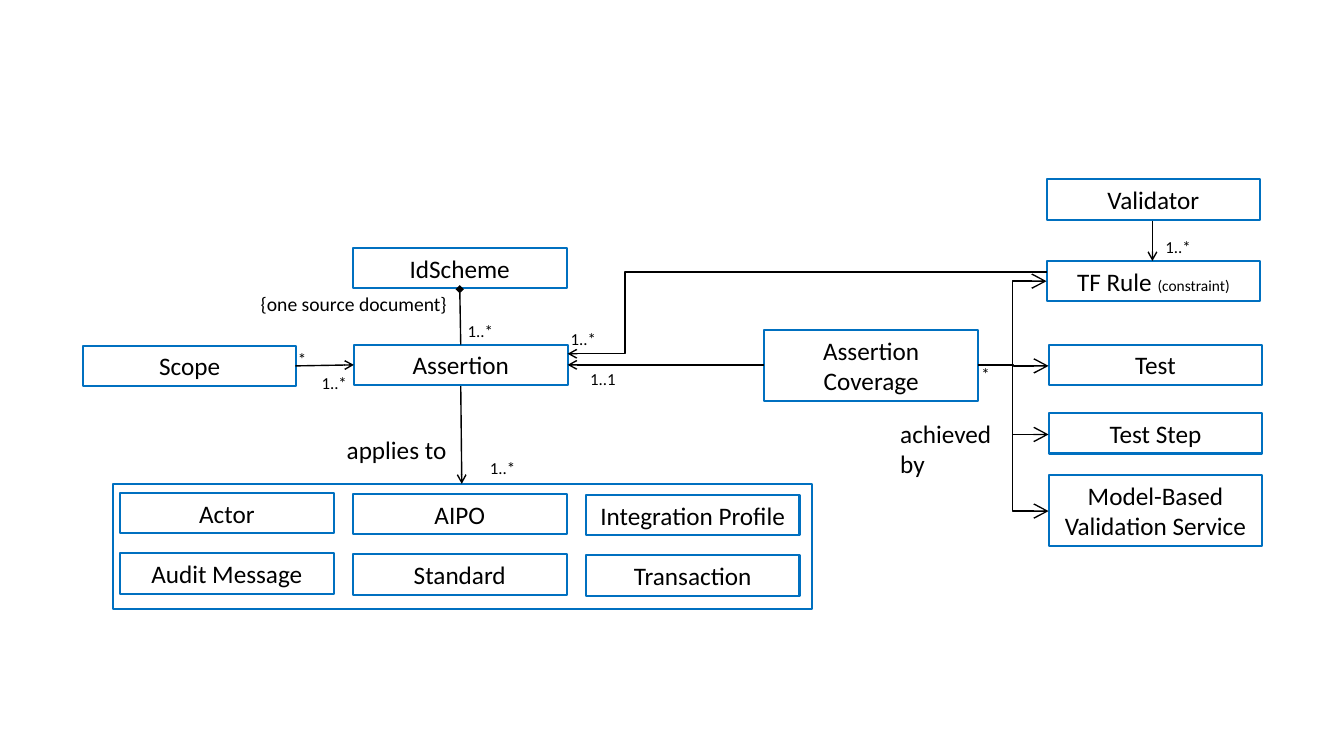
from dataclasses import dataclass

import pptx
import pptx.dml.color
import pptx.enum.shapes
import pptx.enum.text
import pptx.oxml.ns
import pptx.util
from lxml import etree

Inches = pptx.util.Inches
Point = tuple[float, float]
BLUE = pptx.dml.color.RGBColor(0x00, 0x70, 0xC0)
BLACK = pptx.dml.color.RGBColor(0x00, 0x00, 0x00)
FONT = "Calibri"
CENTER = pptx.enum.text.PP_ALIGN.CENTER
LEFT = pptx.enum.text.PP_ALIGN.LEFT
MIDDLE = pptx.enum.text.MSO_ANCHOR.MIDDLE
TOP = pptx.enum.text.MSO_ANCHOR.TOP


@dataclass
class Box:
    text: str
    x: float
    y: float
    width: float = 2.12
    height: float = 0.4
    note: str = ""


@dataclass
class Label:
    text: str
    x: float
    y: float
    width: float = 0.51
    height: float = 0.3
    size: float = 12
    align: pptx.enum.text.PP_ALIGN = CENTER


@dataclass
class Link:
    start: Point
    end: Point
    head: str = ""
    tail: str = ""
    bend: float | None = None
    size: str = "med"


KINDS = ["Actor", "AIPO", "Integration Profile",
         "Audit Message", "Standard", "Transaction"]

BOXES = [
    Box(kind, 1.19 + 2.31 * (i % 3), 4.89 + 0.6 * (i // 3) + 0.01 * (i % 3))
    for i, kind in enumerate(KINDS)
] + [
    Box("", 1.12, 4.8, 6.93, 1.24),
    Box("Assertion", 3.51, 3.42),
    Box("IdScheme", 3.5, 2.46),
    Box("Scope", 0.82, 3.43),
    Box("Validator", 10.38, 1.78),
    Box("TF Rule ", 10.38, 2.59, note="(constraint)"),
    Box("Test", 10.4, 3.42),
    Box("Test Step", 10.4, 4.1),
    Box("Assertion Coverage", 7.58, 3.27, height=0.71),
    Box("Model-Based Validation Service", 10.4, 4.71, height=0.71),
]

FORK = (9.7, 3.62)
GOALS = [((10.38, 2.79), 0.5), ((10.4, 3.63), 0.5),
         ((10.4, 4.31), 0.49), ((10.4, 5.07), 0.49)]

LINKS = [
    Link((3.51, 3.62), (2.93, 3.63), head="arrow"),
    Link((4.56, 2.87), (4.57, 3.42), head="diamond"),
    Link((5.63, 3.51), (10.38, 2.7), head="arrow", bend=0.12),
    Link((11.43, 2.59), (11.43, 2.19), head="arrow"),
    Link((5.63, 3.62), (7.58, 3.62), head="arrow"),
    Link((4.58, 4.8), (4.57, 3.83), head="arrow"),
] + [Link(FORK, goal, tail="arrow", bend=bend, size="lg") for goal, bend in GOALS]

LABELS = [
    Label("1..*", 4.51, 3.13),
    Label("{one source document}", 2.43, 2.85, 2.16, 0.34, 14),
    Label("1..*", 3.06, 3.65),
    Label("*", 2.74, 3.41),
    Label("1..*", 11.43, 2.3),
    Label("1..*", 5.53, 3.21),
    Label("applies to", 3.34, 4.26, 1.22, 0.4, 18, LEFT),
    Label("1..*", 4.56, 4.49, 0.85),
    Label("achieved by", 8.83, 4.1, 1.22, 0.71, 18, LEFT),
    Label("*", 9.52, 3.56),
    Label("1..1", 5.55, 3.61, 0.86),
]


def write(frame, text: str, *, size: float = 18, align=CENTER,
          anchor=TOP, note: str = "") -> None:
    frame.word_wrap = True
    frame.vertical_anchor = anchor
    para = frame.paragraphs[0]
    para.alignment = align
    for part, points in ((text, size), (note, 11)):
        if part:
            run = para.add_run()
            run.text = part
            run.font.name = FONT
            run.font.size = pptx.util.Pt(points)
            run.font.color.rgb = BLACK


def draw_box(shapes, box: Box) -> None:
    shape = shapes.add_shape(
        pptx.enum.shapes.MSO_SHAPE.RECTANGLE,
        Inches(box.x), Inches(box.y), Inches(box.width), Inches(box.height))
    shape.shadow.inherit = False
    shape.fill.background()
    shape.line.color.rgb = BLUE
    shape.line.width = pptx.util.Pt(1.5)
    if box.text:
        write(shape.text_frame, box.text, anchor=MIDDLE, note=box.note)


def draw_label(shapes, label: Label) -> None:
    shape = shapes.add_textbox(Inches(label.x), Inches(label.y),
                               Inches(label.width), Inches(label.height))
    write(shape.text_frame, label.text, size=label.size, align=label.align)


def draw_link(shapes, link: Link) -> None:
    types = pptx.enum.shapes.MSO_CONNECTOR
    kind = types.STRAIGHT if link.bend is None else types.ELBOW
    line = shapes.add_connector(
        kind, *(Inches(value) for value in link.start + link.end))
    line.line.color.rgb = BLACK
    line.line.width = pptx.util.Pt(1)
    qn = pptx.oxml.ns.qn
    props = line.element.spPr
    stroke = props.find(qn("a:ln"))
    for tag, mark in (("a:headEnd", link.head), ("a:tailEnd", link.tail)):
        if mark:
            etree.SubElement(stroke, qn(tag), type=mark, w=link.size, len=link.size)
    if link.bend is not None:
        guides = props.find(qn("a:prstGeom")).find(qn("a:avLst"))
        etree.SubElement(guides, qn("a:gd"), name="adj1",
                         fmla=f"val {round(link.bend * 100000)}")
    etree.SubElement(props, qn("a:effectLst"))


def main() -> None:
    deck = pptx.Presentation()
    deck.slide_width = Inches(13.33)
    deck.slide_height = Inches(7.5)
    shapes = deck.slides.add_slide(deck.slide_layouts[6]).shapes
    for box in BOXES:
        draw_box(shapes, box)
    for link in LINKS:
        draw_link(shapes, link)
    for label in LABELS:
        draw_label(shapes, label)
    deck.save("out.pptx")


if __name__ == "__main__":
    main()
